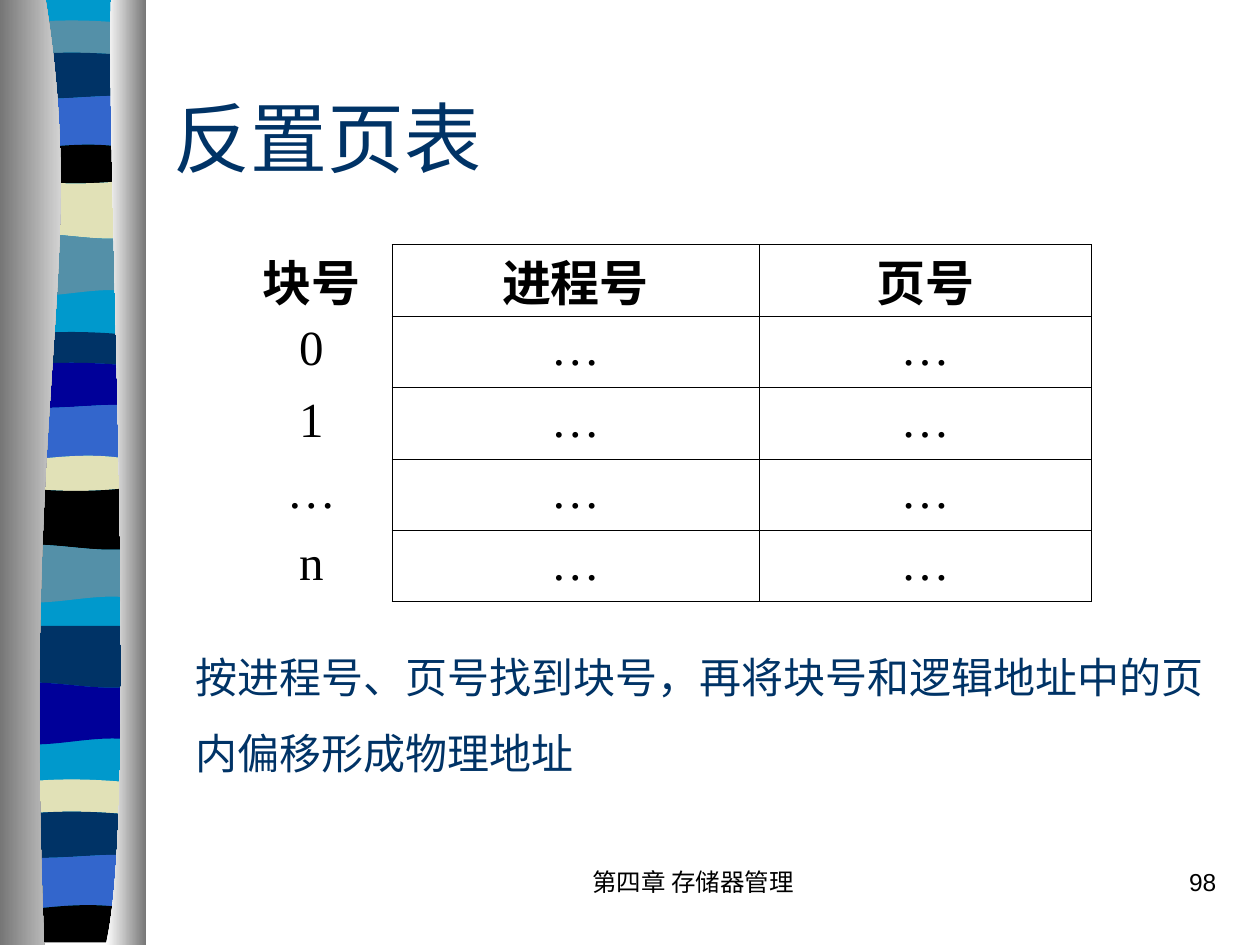
from lxml import etree
from pptx import Presentation
from pptx.dml.color import RGBColor
from pptx.enum.text import MSO_ANCHOR, PP_ALIGN
from pptx.oxml.ns import qn
from pptx.util import Cm, Pt

LEFT, CENTER, RIGHT = PP_ALIGN.LEFT, PP_ALIGN.CENTER, PP_ALIGN.RIGHT
TOP, MIDDLE = MSO_ANCHOR.TOP, MSO_ANCHOR.MIDDLE
SERIF, SANS = "Times New Roman", "Arial"
COLORS = {
    "cyan": "0099CC", "teal": "5490A8", "navy": "003366", "blue": "3366CC",
    "black": "000000", "sand": "E1E1B7", "indigo": "000099",
    "grey": "767676", "white": "FFFFFF",
}

# Vertical offsets in cm of the two control points of a band's edge
FLAT, CREST, DIP = (0, 0), (-0.13, -0.1), (0.13, -0.08)
ARCH, SAG = (-0.1, -0.24), (0.13, 0.13)
ROLL, SWELL = (-0.15, 0.2), (0.18, -0.23)

# Colour, top in cm and wave of the top edge; None lets the backdrop show
BANDS = [
    (None, 0, FLAT), ("teal", 0.5, CREST), ("navy", 1.15, CREST),
    ("blue", 1.95, DIP), ("black", 3.05, ARCH), ("sand", 3.6, SAG),
    ("teal", 4.75, ROLL), (None, 5.92, SWELL), ("navy", 6.78, CREST),
    ("indigo", 7.4, CREST), ("blue", 8.18, DIP), ("sand", 9.32, ARCH),
    ("black", 9.8, SAG), ("teal", 11.02, ROLL), (None, 12.1, SWELL),
    ("navy", 12.62, FLAT), ("indigo", 13.8, ROLL), (None, 14.96, SWELL),
    ("sand", 15.8, CREST), ("navy", 16.45, CREST), ("blue", 17.25, DIP),
    ("black", 18.38, ARCH),
]
BAND_LEFT, BAND_RIGHT, BANDS_BOTTOM = 0.18, 2.88, 19
SLIDE_HEIGHT = 19.05

ROWS = [("块号", "进程号", "页号")] + [
    (block, "…", "…") for block in ("0", "1", "…", "n")]


def rgb(name):
    return RGBColor.from_string(COLORS[name])


def wave(level, offsets):
    """Return a band's edge: two points, or four when it is a curve."""
    ends = [(BAND_LEFT, level), (BAND_RIGHT, level)]
    if offsets == FLAT:
        return ends
    third = (BAND_RIGHT - BAND_LEFT) / 3
    return [ends[0],
            (BAND_LEFT + third, level + offsets[0]),
            (BAND_RIGHT - third, level + offsets[1]),
            ends[1]]


def add_outline(slide, *edges):
    """Join edges into one closed shape; an edge of four points is a Bezier curve."""
    corners = [(Cm(x), Cm(y)) for edge in edges for x, y in edge]
    builder = slide.shapes.build_freeform(*corners[0])
    builder.add_line_segments(corners[1:], close=True)
    shape = builder.convert_to_shape()
    lines = list(shape._element.iter(qn("a:lnTo")))
    position = 0
    for edge in edges:
        if len(edge) == 4:
            bend_lines(lines[position:position + 3])
        position += len(edge)
    shape.shadow.inherit = False
    shape.line.fill.background()
    return shape


def bend_lines(lines):
    """Turn three line segments into one cubic curve."""
    curve = etree.Element(qn("a:cubicBezTo"))
    lines[0].addprevious(curve)
    for line in lines:
        curve.append(line[0])
        line.getparent().remove(line)


def add_band(slide, color, upper, lower):
    shape = add_outline(slide, upper, lower[::-1])
    shape.fill.solid()
    shape.fill.fore_color.rgb = rgb(color)


def add_bands(slide):
    edges = [wave(level, offsets) for _, level, offsets in BANDS]
    edges.append(wave(BANDS_BOTTOM, FLAT))
    add_band(slide, "cyan", edges[0], edges[-1])
    for (color, _, _), upper, lower in zip(BANDS, edges, edges[1:]):
        if color:
            add_band(slide, color, upper, lower)


def add_panel(slide, edge, outer_x, colors):
    """Add a shaded panel between a curved edge and a vertical line."""
    shape = add_outline(slide, edge, [(outer_x, SLIDE_HEIGHT), (outer_x, 0)])
    shape.fill.gradient()
    shape.fill.gradient_angle = 0
    for stop, color in zip(shape.fill.gradient_stops, colors):
        stop.color.rgb = rgb(color)


def format_text(text_frame, size, font, color, align=LEFT, anchor=TOP, bold=False):
    text_frame.word_wrap = True
    text_frame.vertical_anchor = anchor
    for paragraph in text_frame.paragraphs:
        paragraph.alignment = align
        for run in paragraph.runs:
            run.font.size = Pt(size)
            run.font.name = font
            run.font.bold = bold
            run.font.color.rgb = rgb(color)


def add_text(slide, text, left, top, width, height, *style):
    box = slide.shapes.add_textbox(Cm(left), Cm(top), Cm(width), Cm(height))
    box.text_frame.text = text
    format_text(box.text_frame, *style)
    return box


def set_title(slide, text):
    title = slide.shapes.title
    title.left, title.top = Cm(3.25), Cm(1.27)
    title.width, title.height = Cm(21.6), Cm(2.97)
    title.text_frame.text = text
    format_text(title.text_frame, 44, SERIF, "navy", LEFT, MIDDLE)


def set_borders(cell, drawn_sides):
    properties = cell._tc.get_or_add_tcPr()
    for side in "LRTB":
        line = etree.SubElement(properties, qn(f"a:ln{side}"), w=str(Pt(0.45)))
        if side in drawn_sides:
            fill = etree.SubElement(line, qn("a:solidFill"))
            etree.SubElement(fill, qn("a:srgbClr"), val=COLORS["black"])
        else:
            etree.SubElement(line, qn("a:noFill"))


def add_page_table(slide):
    widths = (3.25, 7.4, 6.7)
    row_height = 1.44
    table = slide.shapes.add_table(
        len(ROWS), len(widths), Cm(4.65), Cm(4.93),
        Cm(sum(widths)), Cm(row_height * len(ROWS))).table
    table.first_row = table.horz_banding = False
    for column, width in zip(table.columns, widths):
        column.width = Cm(width)
    for row_index, texts in enumerate(ROWS):
        is_header = row_index == 0
        table.rows[row_index].height = Cm(row_height)
        for column_index, text in enumerate(texts):
            cell = table.cell(row_index, column_index)
            cell.text_frame.text = text
            format_text(cell.text_frame, 28, SERIF, "black", CENTER, bold=is_header)
            if is_header:
                cell.margin_top, cell.margin_bottom = Cm(0.24), 0
                cell.text_frame.paragraphs[0].line_spacing = Pt(33.5)
            set_borders(cell, "LRTB" if column_index else "R")
            cell.fill.background()


def main():
    presentation = Presentation()
    presentation.slide_width, presentation.slide_height = Cm(25.4), Cm(SLIDE_HEIGHT)
    slide = presentation.slides.add_slide(presentation.slide_layouts[5])

    add_bands(slide)
    add_panel(slide, [(0.92, 0), (1.8, 5.5), (0.43, 7.52), (0.89, SLIDE_HEIGHT)],
              0, ("grey", "white"))
    add_panel(slide, [(2.24, 0), (2.13, 3.18), (2.82, 16.4), (2.13, SLIDE_HEIGHT)],
              2.95, ("white", "grey"))

    set_title(slide, "反置页表")
    add_page_table(slide)
    explanation = add_text(
        slide, "按进程号、页号找到块号，再将块号和逻辑地址中的页内偏移形成物理地址",
        3.7, 12.35, 21.2, 3.6, 24, SERIF, "navy", LEFT, MIDDLE)
    explanation.text_frame.paragraphs[0].line_spacing = 1.5
    add_text(slide, "第四章 存储器管理", 9.95, 17.35, 8.05, 1.27,
             14, SANS, "black", CENTER)
    add_text(slide, "98", 19.48, 17.35, 5.29, 1.27, 14, SANS, "black", RIGHT)

    presentation.save("out.pptx")


if __name__ == "__main__":
    main()
